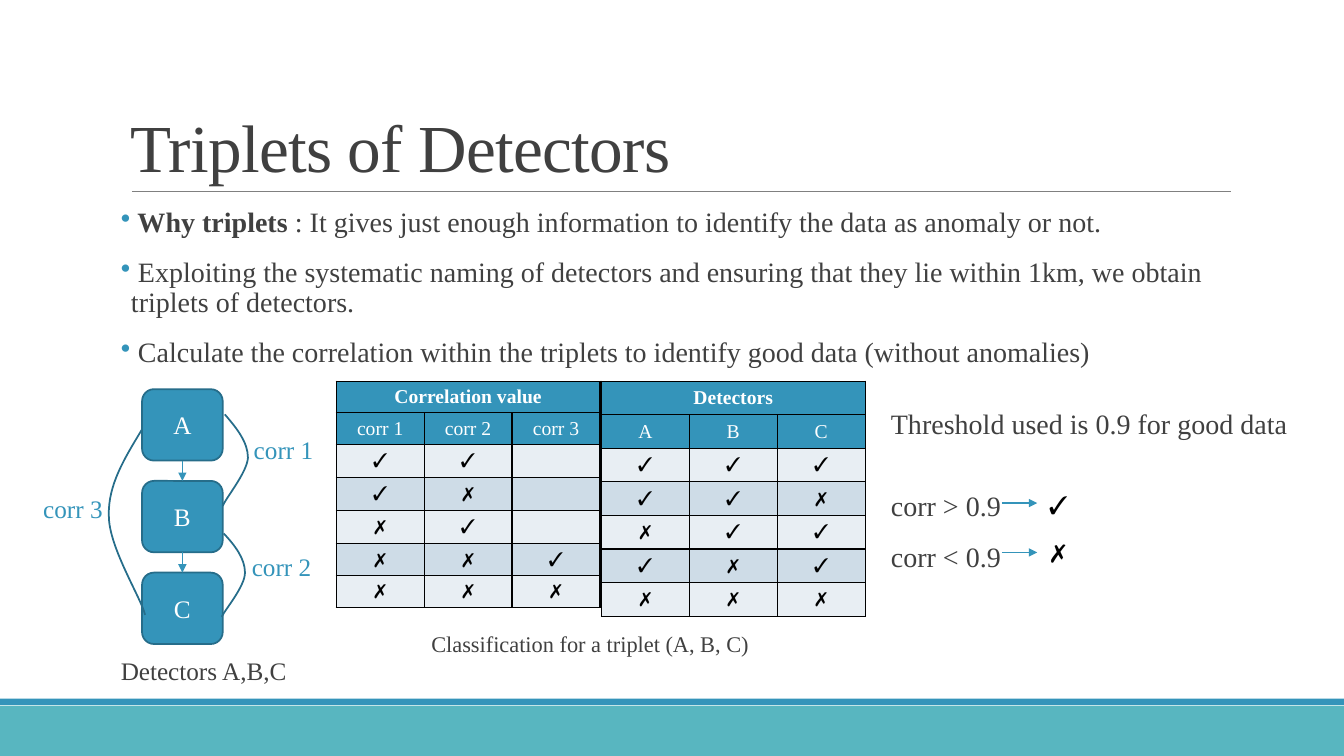
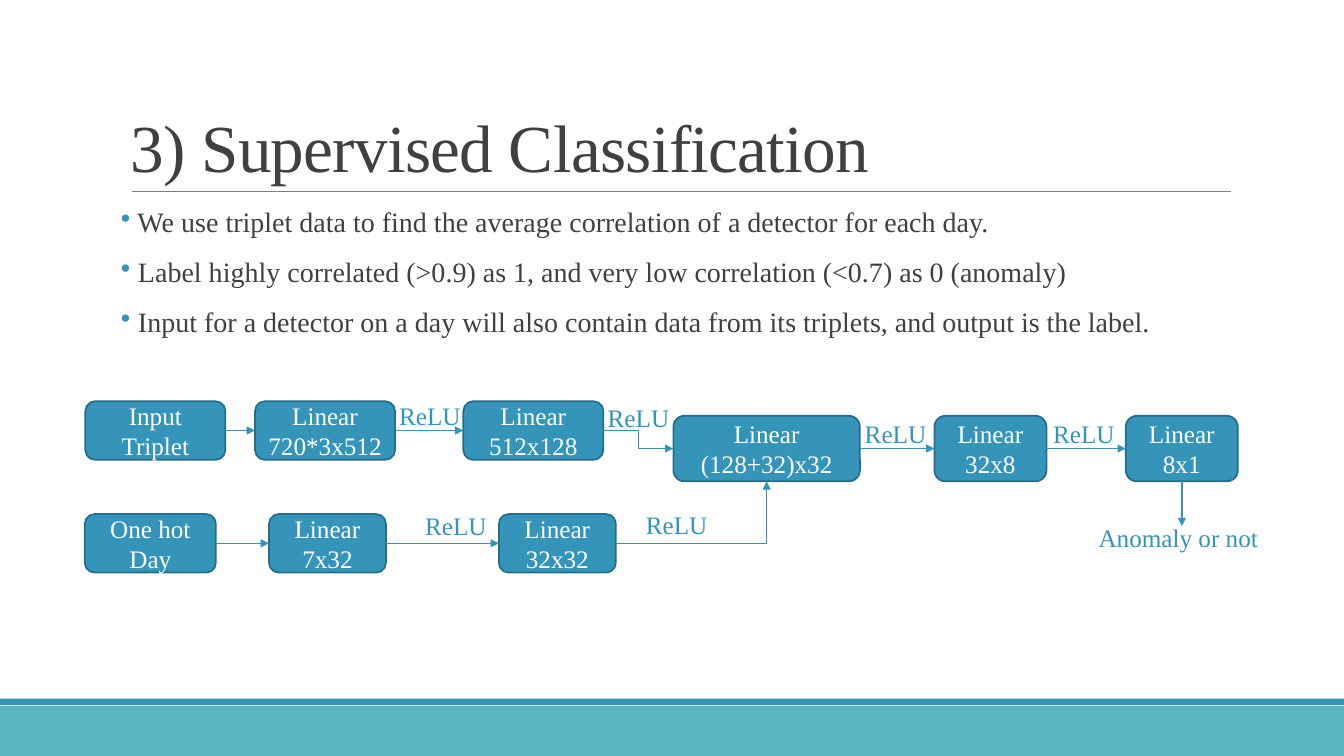
"""Build two slides on detector triplets and their supervised classification."""
from dataclasses import dataclass

from lxml import etree
from pptx import Presentation
from pptx import util as u
from pptx.dml import color
from pptx.enum import shapes, text
from pptx.oxml import ns

MID = text.MSO_ANCHOR.MIDDLE
CENTER = text.PP_ALIGN.CENTER


@dataclass(frozen=True)
class Theme:
    font: str = "Times New Roman"
    ink: str = "404040"
    blue: str = "3494BA"
    edge: str = "266D8A"
    teal: str = "58B6C0"
    rule: str = "808080"
    black: str = "000000"
    white: str = "FFFFFF"
    bands: tuple = ("E8EEF3", "CEDCE7")
    title: int = 48
    body: int = 20
    label: int = 18
    small: int = 16
    cell: int = 14


def rgb(code):
    return color.RGBColor.from_string(code)


def pts(vals):
    return [u.Pt(v) for v in vals]


def style(item, **values):
    for key, value in values.items():
        setattr(item, key, value)


def child(node, tag, **values):
    return etree.SubElement(node, ns.qn(tag), **values)


class Deck:
    def __init__(self, theme):
        self.theme = theme
        self.show = Presentation()
        style(self.show, slide_width=u.Pt(960), slide_height=u.Pt(540))
        self.slide = None

    def page(self, title):
        self.slide = self.show.slides.add_slide(self.show.slide_layouts[6])
        t = self.theme
        self.shape((0, 504, 960, 36), t.teal)
        self.shape((0, 499, 960, 4.6), t.blue)
        self.line((94.3, 136.8), (879.1, 136.8), t.rule, 0.5, False)
        box = self.label((86.4, 22.3, 792, 114.5), [title], t.title, t.ink,
                         line_spacing=0.85)
        box.text_frame.vertical_anchor = text.MSO_ANCHOR.BOTTOM
        run = box.text_frame.paragraphs[0].runs[0]
        run._r.get_or_add_rPr().set("spc", "-50")

    def prose(self, frame, lines, size, ink, bold=False, **form):
        for i, line in enumerate(lines):
            para = frame.paragraphs[0] if i == 0 else frame.add_paragraph()
            style(para, **form)
            parts = [(line, bold)] if isinstance(line, str) else line
            for words, heavy in parts:
                run = para.add_run()
                run.text = words
                style(run.font, name=self.theme.font, size=u.Pt(size), bold=heavy)
                run.font.color.rgb = rgb(ink)

    def label(self, at, lines, size, ink, **form):
        box = self.slide.shapes.add_textbox(*pts(at))
        box.text_frame.word_wrap = True
        self.prose(box.text_frame, lines, size, ink, **form)
        return box

    def tag(self, left, top, words, wide=64):
        self.label((left, top, wide, 29), [words], self.theme.label, self.theme.blue)

    def bullets(self, lines, high):
        t = self.theme
        box = self.label((86.4, 145.4, 792, high), lines, t.body, t.ink)
        style(box.text_frame, margin_left=0, margin_right=0)
        for i, para in enumerate(box.text_frame.paragraphs):
            props = para._p.get_or_add_pPr()
            props.set("marL", str(u.Pt(7.2)))
            props.set("indent", str(-u.Pt(7.2)))
            child(child(props, "a:buClr"), "a:srgbClr", val=t.blue)
            child(props, "a:buChar", char="•")
            style(para, line_spacing=0.9, space_after=u.Pt(2),
                  space_before=u.Pt(12 if i else 0))

    def shape(self, at, fill, kind=shapes.MSO_SHAPE.RECTANGLE):
        item = self.slide.shapes.add_shape(kind, *pts(at))
        item.shadow.inherit = False
        item.fill.solid()
        item.fill.fore_color.rgb = rgb(fill)
        item.line.fill.background()
        return item

    def edge(self, item):
        item.line.color.rgb = rgb(self.theme.edge)
        item.line.width = u.Pt(1.25)

    def node(self, at, *lines):
        t = self.theme
        item = self.shape(at, t.blue, shapes.MSO_SHAPE.ROUNDED_RECTANGLE)
        self.edge(item)
        style(item.text_frame, word_wrap=True, vertical_anchor=MID,
              margin_left=u.Pt(4), margin_right=u.Pt(4))
        self.prose(item.text_frame, lines, t.label, t.white, alignment=CENTER)
        return item

    def line(self, start, end, ink=None, width=1, arrow=True, bent=False):
        kind = shapes.MSO_CONNECTOR.ELBOW if bent else shapes.MSO_CONNECTOR.STRAIGHT
        item = self.slide.shapes.add_connector(kind, *pts((*start, *end)))
        item.line.color.rgb = rgb(ink or self.theme.blue)
        item.line.width = u.Pt(width)
        props = item._element.spPr
        if arrow:
            child(props.find(ns.qn("a:ln")), "a:tailEnd", type="triangle")
        child(props, "a:effectLst")
        return item

    def link(self, first, last, out=3, into=1, bent=False):
        ends = []
        for item, side in ((first, out), (last, into)):
            dx, dy = ((0.5, 0), (0, 0.5), (0.5, 1), (1, 0.5))[side]
            ends.append((u.Emu(item.left + dx * item.width).pt,
                         u.Emu(item.top + dy * item.height).pt))
        wire = self.line(*ends, bent=bent)
        wire.begin_connect(first, out)
        wire.end_connect(last, into)
        return wire

    def curve(self, start, *knots):
        pen = self.slide.shapes.build_freeform(*pts(start))
        pen.add_line_segments([pts(knot) for knot in knots], close=False)
        item = pen.convert_to_shape()
        item.shadow.inherit = False
        item.fill.background()
        self.edge(item)
        trace = item._element.find(".//" + ns.qn("a:path"))
        steps = trace.findall(ns.qn("a:lnTo"))
        for i in range(0, len(steps), 3):
            bend = child(trace, "a:cubicBezTo")
            for step in steps[i:i + 3]:
                bend.append(step[0])
                trace.remove(step)

    def grid(self, left, high, head, names, marks):
        t = self.theme
        rows = [(head, "", ""), names, *marks]
        at = (left, 272.2, 188.4, high * len(rows))
        table = self.slide.shapes.add_table(len(rows), 3, *pts(at)).table
        table.horz_banding = False
        for column in table.columns:
            column.width = u.Pt(62.8)
        for i, row in enumerate(rows):
            table.rows[i].height = u.Pt(high)
            for j, words in enumerate(row):
                cell = table.cell(i, j)
                style(cell, vertical_anchor=MID, margin_top=u.Pt(1),
                      margin_bottom=u.Pt(1))
                props = cell._tc.get_or_add_tcPr()
                for side in "LRTB":
                    edge = child(props, "a:ln" + side, w=str(u.Pt(1)))
                    child(child(edge, "a:solidFill"), "a:srgbClr", val=t.black)
                cell.fill.solid()
                cell.fill.fore_color.rgb = rgb(t.blue if i < 2 else t.bands[i % 2])
                self.prose(cell.text_frame, [words.strip()], t.cell,
                           t.white if i < 2 else t.black, i == 0, alignment=CENTER)
        table.cell(0, 0).merge(table.cell(0, 2))


def triplets(deck):
    t = deck.theme
    deck.page("Triplets of Detectors")
    deck.bullets([
        [(" Why triplets ", True),
         (": It gives just enough information to identify the data as anomaly or not.",
          False)],
        " Exploiting the systematic naming of detectors and ensuring that they lie "
        "within 1km, we obtain triplets of detectors.",
        " Calculate the correlation within the triplets to identify good data "
        "(without anomalies)"], 132.5)

    deck.grid(240.2, 22.65, "Correlation value", ("corr 1", "corr 2", "corr 3"),
              ("✓✓ ", "✓✗ ", "✗✓ ", "✗✗✓", "✗✗✗"))
    deck.grid(429.6, 24, "Detectors", "ABC", ("✓✓✓", "✓✓✗", "✗✓✓", "✓✗✓", "✗✗✗"))
    deck.label((301, 446.4, 296.6, 27), ["Classification for a triplet (A, B, C)"],
               t.small, t.ink)
    deck.label((79.2, 464.4, 165.6, 29), ["Detectors A,B,C"], t.label, t.ink)

    note = deck.label((629.3, 286.6, 311.8, 124),
                      ["Threshold used is 0.9 for good data", "corr > 0.9", "corr < 0.9"],
                      t.body, t.ink)
    rules = note.text_frame.paragraphs[1:]
    for para in rules:
        para.line_spacing = 1.5
    rules[0].space_before = u.Pt(23)
    for mark, level, top in (("✓", 359.3, 346.3), ("✗", 394.6, 379.4)):
        deck.line((715.7, level), (740.9, level))
        deck.label((735, top, 42, 29), [mark], t.label, t.black, alignment=CENTER)

    nodes = [deck.node((101.5, 278 + 65.5 * i, 57.6, 51), name)
             for i, name in enumerate("ABC")]
    for first, last in zip(nodes, nodes[1:]):
        deck.link(first, last, 2, 0)
    deck.curve((160.6, 296), (169.2, 306), (177.1, 316), (177.1, 327),
               (176.4, 337.7), (161.3, 355.7), (159.1, 361.4))
    deck.curve((159.8, 381), (167.8, 389.5), (175, 399), (175, 409),
               (175, 419), (160.6, 435.6), (158.4, 440.6))
    deck.curve((101.5, 306.7), (89.3, 327), (77, 346.3), (77.8, 368.6),
               (77.8, 391), (100.8, 427), (103.7, 439.2))
    for left, top, name in ((174.2, 306.7, "corr 1"), (172.8, 390.2, "corr 2"),
                            (23.8, 348.5, "corr 3")):
        deck.tag(left, top, name)


def network(deck):
    deck.page("3) Supervised Classification")
    deck.bullets([
        " We use triplet data to find the average correlation of a detector for each day.",
        " Label highly correlated (>0.9) as 1, and very low correlation (<0.7) as 0 (anomaly)",
        " Input for a detector on a day will also contain data from its triplets, "
        "and output is the label."], 317)

    lanes = []
    for top, high, cells in (
            (286.6, 41.8, ((61, 100, "Input", "Triplet"),
                           (182.2, 100, "Linear", "720*3x512"),
                           (331, 100, "Linear", "512x128"))),
            (367.2, 41.8, ((60.6, 93.6, "One hot Day"),
                           (192.2, 83.5, "Linear", "7x32"),
                           (356.4, 83.5, "Linear", "32x32"))),
            (297, 46.8, ((481, 133.2, "Linear", "(128+32)x32"),
                         (667.5, 80, "Linear", "32x8"),
                         (804.2, 80, "Linear", "8x1")))):
        lane = [deck.node((left, top, wide, high), *lines)
                for left, wide, *lines in cells]
        for first, last in zip(lane, lane[1:]):
            deck.link(first, last)
        lanes.append(lane)

    data, day, joint = lanes
    deck.link(data[-1], joint[0], bent=True)
    turn = deck.link(day[-1], joint[0], 3, 2, bent=True)
    turn._element.spPr.find(ns.qn("a:prstGeom")).set("prst", "bentConnector2")
    drop = deck.line((844.2, 343.8), (844.2, 375.8))
    drop.begin_connect(joint[-1], 2)

    for left, top in ((278, 282.3), (427, 283.7), (610.6, 295.2), (745.2, 295.2),
                      (296.6, 360.7), (454.3, 360)):
        deck.tag(left, top, "ReLU")
    deck.tag(777.6, 369.4, "Anomaly or not", 131.8)


def main():
    deck = Deck(Theme())
    triplets(deck)
    network(deck)
    deck.show.save("out.pptx")


if __name__ == "__main__":
    main()
